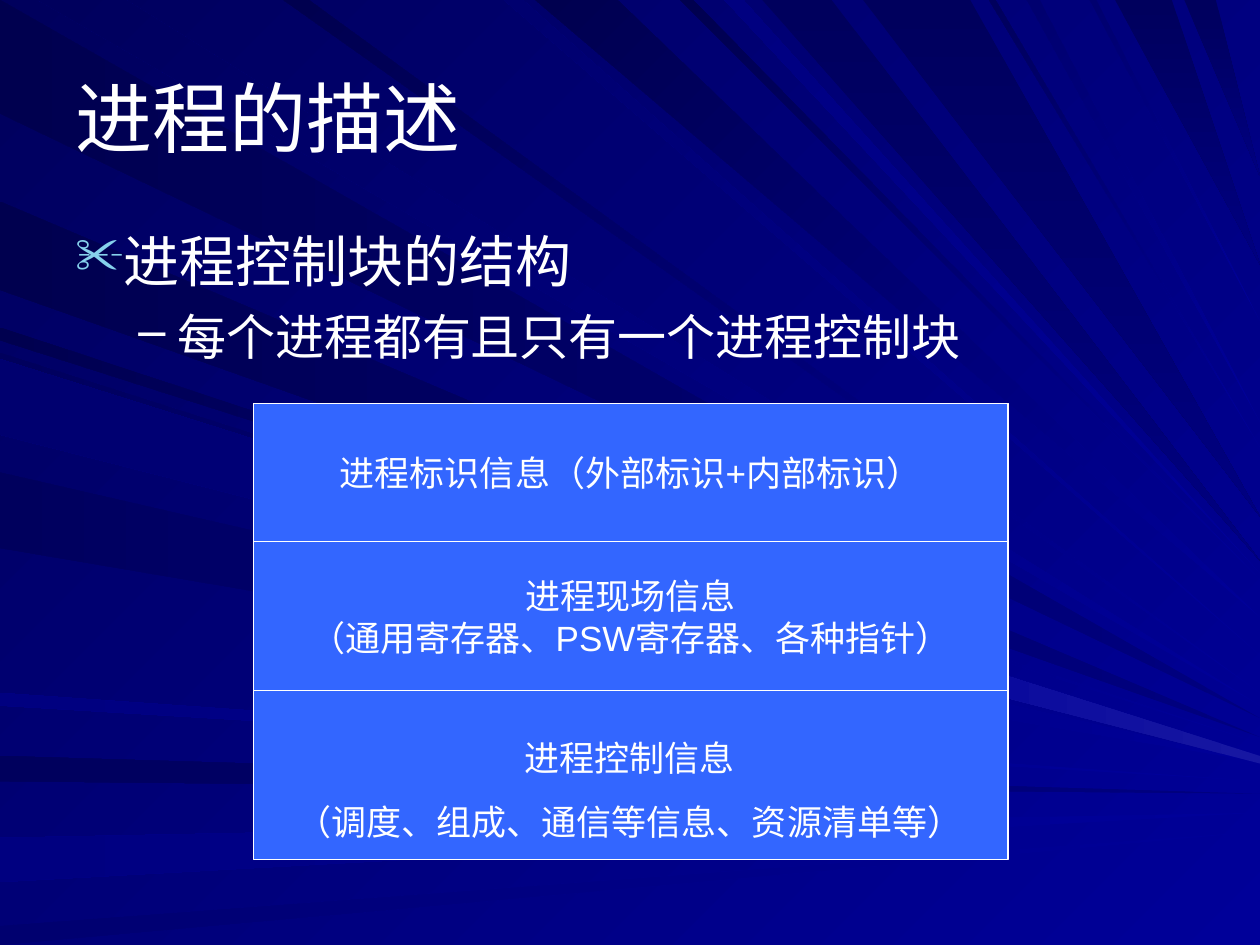
from lxml import etree
from pptx import Presentation
from pptx import util as u
from pptx.dml import color
from pptx.enum import shapes, text
from pptx.oxml import ns

COLORS = {
    "white": "FFFFFF", "panel": "3366FF", "bullet": "86D1EC",
    "blue": "000099", "glow": "1717A2", "navy": "000080",
    "dim": "00006F", "dark": "00005D", "night": "00004F",
}
WIDTH, HEIGHT = 10, 7.5

RAYS = [
    ("left", 0, 0.9, 5.7, "navy", "night"),
    ("top", 0.3, 1, 5.6, "blue", "dark"),
    ("left", 6, 6.2, 6.3, "navy", "dark"),
    ("left", 6.65, 7, 6.45, "blue", "navy"),
    ("left", 7.35, 7.5, 6.6, "blue", "dim"),
    ("left", 2.6, 2.7, 5.9, "blue", "night"),
    ("left", 1.6, 2.3, 5.85, "navy", "night"),
    ("top", 4, 4.15, 5.2, "blue", "dim"),
    ("top", 4.25, 4.9, 4.9, "blue", "night"),
    ("top", 5.4, 5.5, 4.6, "blue", "night"),
    ("top", 6.05, 6.6, 4.45, "dark", "navy"),
    ("top", 8.85, 9.3, 2.1, "dark", "navy"),
    ("top", 9.4, 9.65, 1.4, "dark", "navy"),
    ("left", 2.8, 3.4, 6, "blue", "dark"),
    ("left", 3.75, 4.35, 6.05, "blue", "dark"),
    ("left", 5.5, 5.6, 6.2, "blue", "navy"),
    ("top", 2.25, 2.45, 5.5, "blue", "night"),
    ("top", 5.75, 5.9, 4.55, "blue", "navy"),
    ("top", 6.85, 7.7, 4.1, "dark", "navy"),
    ("top", 7.85, 7.9, 3.55, "blue", "dark"),
    ("top", 8.15, 8.25, 3.35, "blue", "dim"),
    ("top", 8.65, 8.7, 2.55, "blue", "dim"),
    ("left", 2.85, 3.45, 6, "blue", "dim"),
]
GLOW = [(WIDTH, 6), (6.37, 4.85), (6.33, 5.11), (WIDTH, 6.06)]

PANEL_LEFT, PANEL_TOP, PANEL_WIDTH, PANEL_HEIGHT = 2.01, 3.2, 5.99, 3.62
PANEL_ROWS = [
    (1.1, ["进程标识信息（外部标识+内部标识）"]),
    (1.18, ["进程现场信息", "（通用寄存器、PSW寄存器、各种指针）"]),
]
CENTERED = {"alignment": text.PP_ALIGN.CENTER}


def rgb(name):
    return color.RGBColor.from_string(COLORS[name])


def apply(target, values):
    for name, value in values.items():
        setattr(target, name, value)


def paint(fill, start, end=None, angle=0):
    if end is None:
        fill.solid()
        fill.fore_color.rgb = rgb(start)
        return
    fill.gradient()
    fill.gradient_angle = 360 - angle
    for stop, name in zip(fill.gradient_stops, (start, end)):
        stop.color.rgb = rgb(name)


def write(box, lines, size, para_format, **frame_format):
    frame = box.text_frame
    apply(frame, frame_format)
    for index, line in enumerate(lines):
        para = frame.add_paragraph() if index else frame.paragraphs[0]
        apply(para, para_format)
        span = para.add_run()
        span.text = line
        apply(span.font, {"name": "Arial", "size": u.Pt(size)})
        span.font.color.rgb = rgb("white")
    return frame.paragraphs


def add_beam(page, points, start, end, angle):
    corners = [(u.Inches(x), u.Inches(y)) for x, y in points]
    builder = page.shapes.build_freeform(*corners[0])
    builder.add_line_segments(corners[1:], close=True)
    beam = builder.convert_to_shape()
    beam.shadow.inherit = False
    beam.line.fill.background()
    paint(beam.fill, start, end, angle)


def add_ray(page, edge, near, far, tip, start, end):
    if edge == "left":
        base, angle = [(0, near), (0, far)], 180
    else:
        base, angle = [(near, 0), (far, 0)], 90 if start == "dark" else 225
    add_beam(page, base + [(WIDTH, tip)], start, end, angle)


def add_title(page, words):
    title = page.shapes.title
    title.element.getparent().append(title.element)
    apply(title, {"left": u.Inches(0.5), "top": u.Inches(0.3),
                  "width": u.Inches(9), "height": u.Inches(1.25)})
    write(title, [words], 44, {"alignment": text.PP_ALIGN.LEFT},
          auto_size=text.MSO_AUTO_SIZE.NONE, vertical_anchor=text.MSO_ANCHOR.MIDDLE)


def add_text(page, left, top, width, height, lines, size, para_format):
    box = page.shapes.add_textbox(*map(u.Inches, (left, top, width, height)))
    return write(box, lines, size, para_format, word_wrap=True)


def set_bullet(para, mark, name, percent, left, hanging):
    props = para._p.get_or_add_pPr()
    props.set("marL", str(u.Inches(left)))
    props.set("indent", str(-u.Inches(hanging)))
    tint = etree.SubElement(props, ns.qn("a:buClr"))
    etree.SubElement(tint, ns.qn("a:srgbClr"), val=COLORS[name])
    etree.SubElement(props, ns.qn("a:buSzPct"), val=str(percent * 1000))
    etree.SubElement(props, ns.qn("a:buChar"), char=mark)


def add_outline(page):
    first, second = add_text(page, 0.5, 1.75, 9, 4.95, ["进程控制块的结构", "每个进程都有且只有一个进程控制块"], 32, {})
    first.space_before = u.Pt(8)
    apply(second, {"level": 1, "space_before": u.Pt(7)})
    second.runs[0].font.size = u.Pt(28)
    set_bullet(first, "✂", "bullet", 90, 0.38, 0.38)
    set_bullet(second, "–", "white", 100, 0.81, 0.31)


def add_panel(page, top, height, lines=()):
    panel = page.shapes.add_shape(
        shapes.MSO_SHAPE.RECTANGLE,
        *map(u.Inches, (PANEL_LEFT, top, PANEL_WIDTH, height)))
    panel.shadow.inherit = False
    paint(panel.fill, "panel")
    paint(panel.line.fill, "white")
    panel.line.width = u.Pt(0.75)
    write(panel, lines, 20, CENTERED, word_wrap=False,
          vertical_anchor=text.MSO_ANCHOR.MIDDLE)


def add_control_block(page):
    add_panel(page, PANEL_TOP, PANEL_HEIGHT)
    top = PANEL_TOP
    for height, lines in PANEL_ROWS:
        add_panel(page, top, height, lines)
        top += height
    add_text(page, 2.24, 5.8, 5.51, 0.94,
             ["进程控制信息", "（调度、组成、通信等信息、资源清单等）"],
             20, {**CENTERED, "space_before": u.Pt(12.5)})


def main():
    deck = Presentation()
    apply(deck, {"slide_width": u.Inches(WIDTH), "slide_height": u.Inches(HEIGHT)})
    page = deck.slides.add_slide(deck.slide_layouts.get_by_name("Title Only"))
    paint(page.background.fill, "blue", "dark", 225)
    for ray in RAYS:
        add_ray(page, *ray)
    add_beam(page, GLOW, "glow", "blue", 180)
    add_title(page, "进程的描述")
    add_outline(page)
    add_control_block(page)
    deck.save("out.pptx")


if __name__ == "__main__":
    main()
